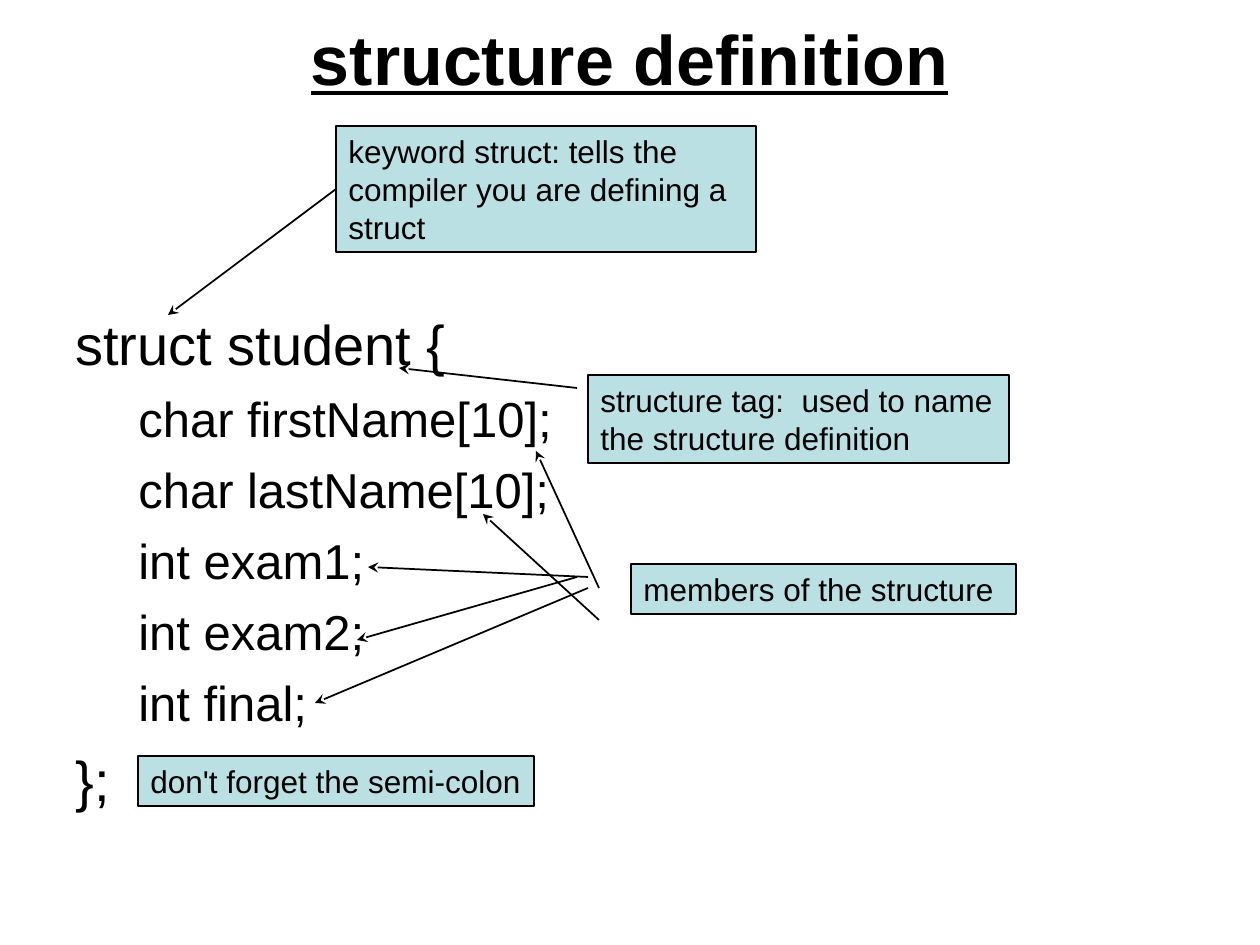
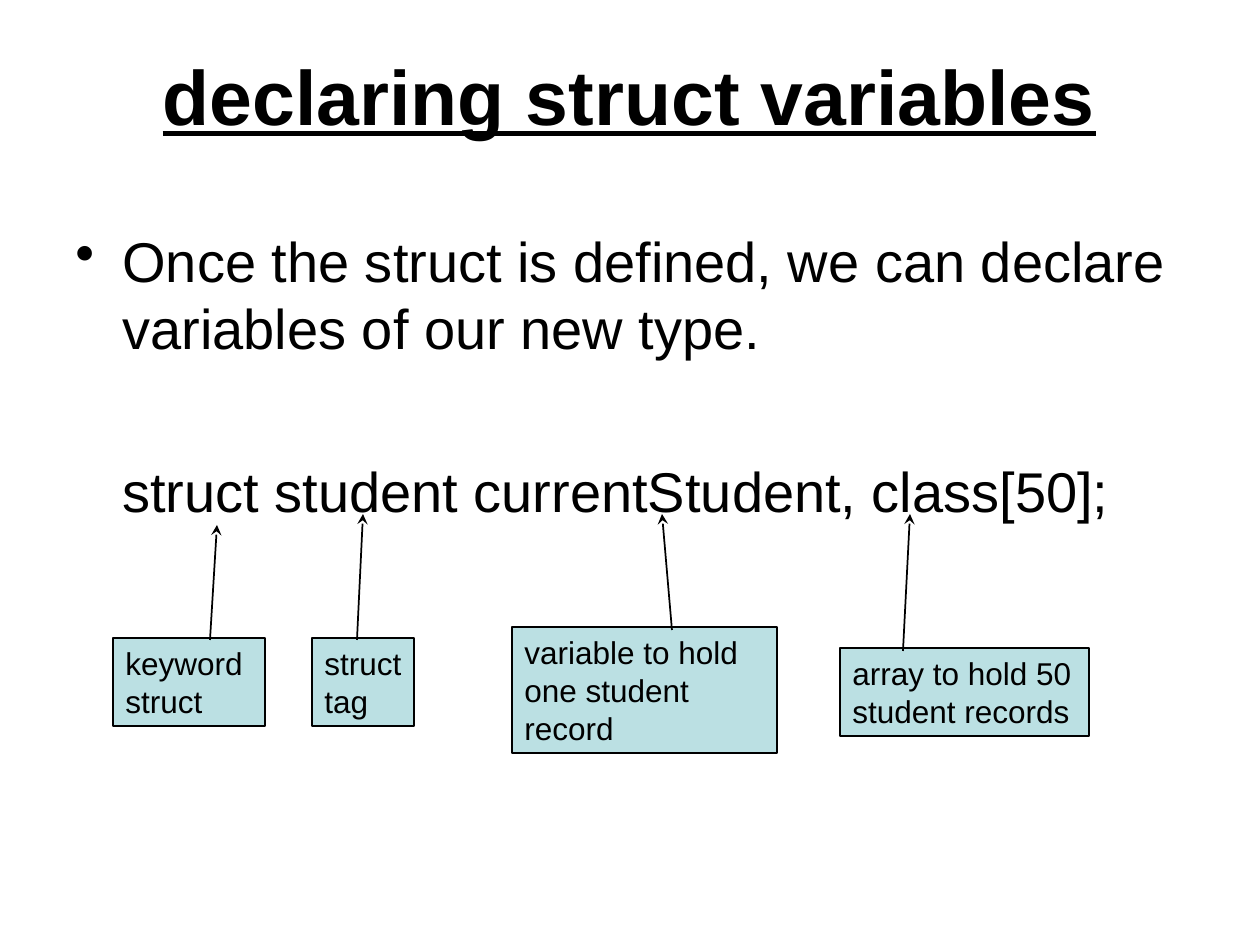
"""Build two slides that explain how a C struct is defined and declared."""
from lxml import etree
from pptx import Presentation
from pptx.dml.color import RGBColor
from pptx.enum.shapes import MSO_CONNECTOR, MSO_SHAPE
from pptx.enum.text import MSO_ANCHOR, MSO_AUTO_SIZE, PP_ALIGN
from pptx.oxml.ns import qn
from pptx.util import Pt

STRAIGHT = MSO_CONNECTOR.STRAIGHT
RECTANGLE = MSO_SHAPE.RECTANGLE
TOP, MIDDLE = MSO_ANCHOR.TOP, MSO_ANCHOR.MIDDLE
FIXED, GROW = MSO_AUTO_SIZE.NONE, MSO_AUTO_SIZE.SHAPE_TO_FIT_TEXT
LEFT, CENTER = PP_ALIGN.LEFT, PP_ALIGN.CENTER

BLACK = RGBColor(0x00, 0x00, 0x00)
PALE_TEAL = RGBColor(0xBB, 0xE0, 0xE3)
FONT = "Arial"
EMU_PER_PX = 914400 / 126
TITLE_ONLY = 5


def px(length):
    return round(length * EMU_PER_PX)


class SlideBuilder:
    def __init__(self):
        self.deck = Presentation()
        self.deck.slide_width, self.deck.slide_height = px(1260), px(945)
        self.page = None

    def add_span(self, para, text, size, bold=False):
        span = para.add_run()
        span.text = text
        span.font.name, span.font.size = FONT, Pt(size)
        span.font.bold = span.font.underline = bold
        span.font.color.rgb = BLACK

    def start(self, title, height, size):
        self.page = self.deck.slides.add_slide(self.deck.slide_layouts[TITLE_ONLY])
        box = self.page.shapes.title
        box.left, box.top, box.width, box.height = px(94), px(21), px(1071), px(height)
        frame = box.text_frame
        frame.auto_size, frame.vertical_anchor = FIXED, MIDDLE
        para = frame.paragraphs[0]
        para.alignment = CENTER
        self.add_span(para, title, size, bold=True)

    def body(self, top, height, lines):
        box = self.page.shapes.add_textbox(px(63), px(top), px(1134), px(height))
        frame = box.text_frame
        frame.word_wrap = True
        for number, (text, size, margin, gap, bullet) in enumerate(lines):
            para = frame.add_paragraph() if number else frame.paragraphs[0]
            para.space_before = Pt(gap if number else 0)
            properties = para._p.get_or_add_pPr()
            properties.set("marL", str(px(margin)))
            properties.set("indent", str(-px(margin) if bullet else 0))
            if bullet:
                etree.SubElement(properties, qn("a:buChar")).set("char", bullet)
            self.add_span(para, text, size)

    def callout(self, left, top, width, height, *lines, wrap=True):
        box = self.page.shapes.add_shape(RECTANGLE, px(left), px(top), px(width), px(height))
        box.shadow.inherit = False
        box.fill.solid()
        box.fill.fore_color.rgb = PALE_TEAL
        box.line.color.rgb, box.line.width = BLACK, Pt(1)
        frame = box.text_frame
        frame.word_wrap, frame.auto_size, frame.vertical_anchor = wrap, GROW, TOP
        for number, text in enumerate(lines):
            para = frame.add_paragraph() if number else frame.paragraphs[0]
            para.alignment = LEFT
            self.add_span(para, text, 18)

    def arrow(self, *ends):
        line = self.page.shapes.add_connector(STRAIGHT, *map(px, ends))
        line.line.color.rgb, line.line.width = BLACK, Pt(1)
        outline = line._element.spPr.find(qn("a:ln"))
        etree.SubElement(outline, qn("a:tailEnd")).set("type", "stealth")
        etree.SubElement(line._element.spPr, qn("a:effectLst"))

    def arrows(self, ends):
        for points in ends:
            self.arrow(*points)


def definition_slide(builder):
    builder.start("structure definition", 73, 40)
    members = ("char firstName[10];", "char lastName[10];", "int exam1;", "int exam2;", "int final;")
    builder.body(303, 541, [
        ("struct student {", 32, 0, 8, None),
        *((member, 28, 63, 7, None) for member in members),
        ("};", 32, 0, 8, None),
    ])
    builder.callout(336, 126, 420, 126, "keyword struct: tells the compiler you are defining a struct")
    builder.callout(588, 375, 421, 88, "structure tag:  used to name the structure definition")
    builder.callout(631, 564, 385, 50, "members of the structure", wrap=False)
    builder.callout(138, 756, 396, 50, "don't forget the semi-colon", wrap=False)
    builder.arrows([
        (336, 189, 168, 315),
        (577, 388, 399, 368),
        (599, 588, 536, 451),
        (599, 620, 483, 514),
        (588, 577, 368, 567),
        (577, 577, 357, 640),
        (588, 588, 315, 703),
    ])


def declaration_slide(builder):
    builder.start("declaring struct variables", 147, 44)
    builder.body(220, 624, [
        ("Once the struct is defined, we can declare variables of our new type.", 32, 47, 8, "•"),
        ("struct student currentStudent, class[50];", 32, 47, 55, None),
    ])
    builder.callout(113, 638, 152, 88, "keyword", "struct", wrap=False)
    builder.callout(312, 638, 102, 88, "struct", "tag", wrap=False)
    builder.callout(512, 627, 265, 126, "variable to hold one student record")
    builder.callout(840, 648, 249, 88, "array to hold 50 student records")
    builder.arrows([
        (210, 640, 217, 525),
        (357, 640, 363, 514),
        (672, 630, 662, 514),
        (903, 651, 910, 514),
    ])


def main():
    builder = SlideBuilder()
    definition_slide(builder)
    declaration_slide(builder)
    builder.deck.save("out.pptx")


if __name__ == "__main__":
    main()
